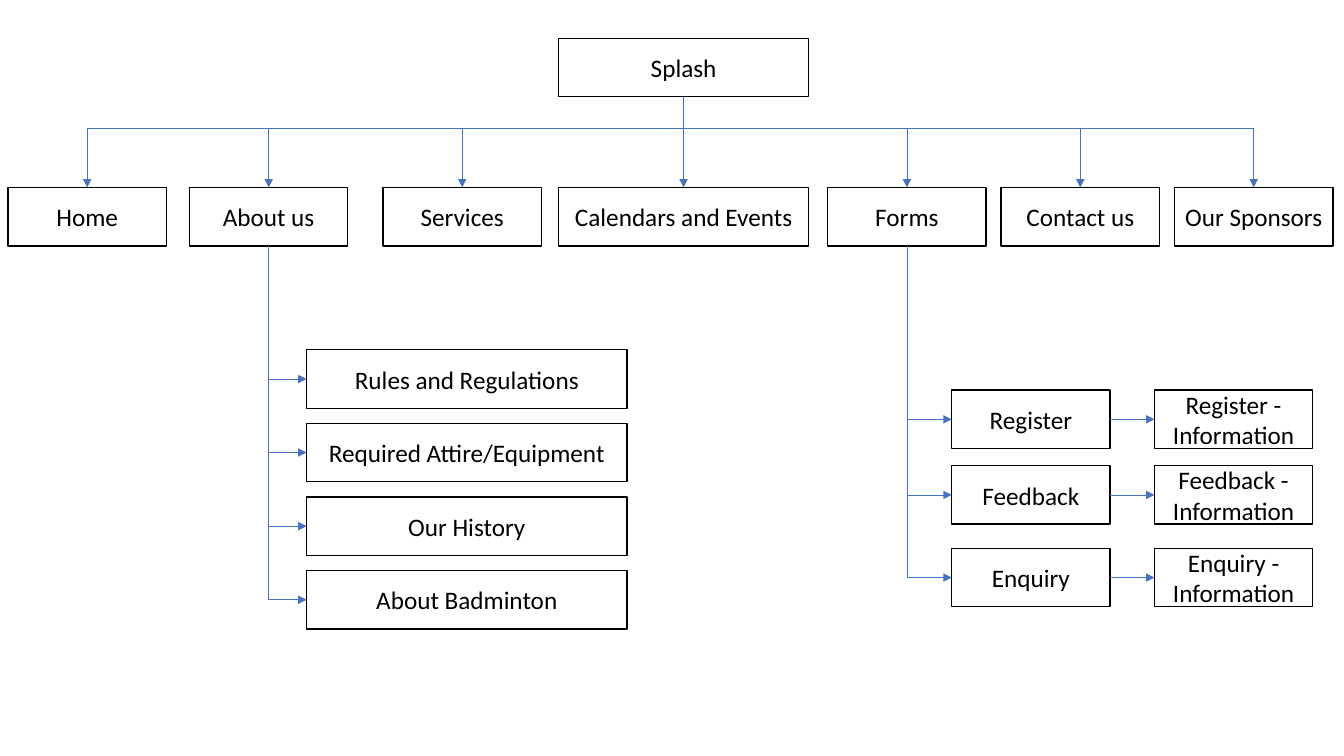
import dataclasses
import typing

import lxml.etree
import pptx
import pptx.dml.color
import pptx.enum.shapes
import pptx.enum.text
import pptx.oxml.ns
import pptx.util

Inches = pptx.util.Inches
Pt = pptx.util.Pt
RGB = pptx.dml.color.RGBColor
Kind = pptx.enum.shapes.MSO_CONNECTOR
qn = pptx.oxml.ns.qn


@dataclasses.dataclass(frozen=True)
class Theme:
    paper: RGB = RGB(0xFF, 0xFF, 0xFF)
    ink: RGB = RGB(0, 0, 0)
    link: RGB = RGB(0x44, 0x72, 0xC4)
    font: str = "Calibri"
    size: int = 18
    edge: float = 1
    wire: float = 0.5


@dataclasses.dataclass(frozen=True)
class Box:
    text: str
    left: float
    top: float
    width: float = 1.57
    height: float = 0.58

    @property
    def right(self) -> float:
        return self.left + self.width

    @property
    def base(self) -> float:
        return self.top + self.height

    @property
    def midx(self) -> float:
        return self.left + self.width / 2

    @property
    def midy(self) -> float:
        return self.top + self.height / 2


Point = tuple[float, float]
theme = Theme()
deck = pptx.Presentation()
deck.slide_width, deck.slide_height = Inches(13.33), Inches(7.5)
slide = deck.slides.add_slide(deck.slide_layouts[6])


def assign(item: typing.Any, values: dict[str, typing.Any]) -> None:
    for name, value in values.items():
        setattr(item, name, value)


def draw(box: Box) -> None:
    shape = slide.shapes.add_shape(
        pptx.enum.shapes.MSO_SHAPE.RECTANGLE,
        *map(Inches, (box.left, box.top, box.width, box.height)),
    )
    shape.shadow.inherit = False
    shape.fill.solid()
    shape.fill.fore_color.rgb = theme.paper
    shape.line.color.rgb = theme.ink
    shape.line.width = Pt(theme.edge)
    frame = shape.text_frame
    frame.text = box.text
    assign(frame, {
        "word_wrap": True,
        "vertical_anchor": pptx.enum.text.MSO_ANCHOR.MIDDLE,
        "margin_left": Inches(0.05),
        "margin_right": Inches(0.05),
    })
    line = frame.paragraphs[0]
    line.alignment = pptx.enum.text.PP_ALIGN.CENTER
    assign(line.runs[0].font, {"name": theme.font, "size": Pt(theme.size)})
    line.runs[0].font.color.rgb = theme.ink


def wire(start: Point, end: Point, kind: Kind = Kind.STRAIGHT, arrow: bool = True) -> typing.Any:
    link = slide.shapes.add_connector(kind, *map(Inches, (*start, *end)))
    link.line.color.rgb = theme.link
    link.line.width = Pt(theme.wire)
    props = link.element.spPr
    if arrow:
        lxml.etree.SubElement(props.find(qn("a:ln")), qn("a:tailEnd"), type="triangle")
    lxml.etree.SubElement(props, qn("a:effectLst"))
    return props


def elbow(start: Point, end: Point) -> None:
    midx, midy = (start[0] + end[0]) / 2, (start[1] + end[1]) / 2
    wide, high = (end[1] - start[1]) / 2, (end[0] - start[0]) / 2
    props = wire((midx - wide, midy - high), (midx + wide, midy + high), Kind.ELBOW)
    props.find(qn("a:prstGeom")).set("prst", "bentConnector2")
    frame = props.find(qn("a:xfrm"))
    frame.set("rot", "16200000")
    frame.set("flipH", "1")


def branch(parent: Box, items: list[Box]) -> None:
    start = parent.base
    for item in items:
        draw(item)
        elbow((parent.midx, start), (item.left, item.midy))
        start = item.midy


splash = Box("Splash", 5.54, 0.38, 2.48)
row = 1.86
home = Box("Home", 0.08, row)
about = Box("About us", 1.88, row)
forms = Box("Forms", 8.21, row)
last = Box("Our Sponsors", 11.65, row)
pages = [
    home,
    about,
    Box("Services", 3.8, row),
    Box("Calendars and Events", splash.left, row, splash.width),
    forms,
    Box("Contact us", 9.93, row),
    last,
]
bus = 1.27

draw(splash)
wire((splash.midx, splash.base), (splash.midx, bus), arrow=False)
wire((home.midx, bus), (last.midx, bus), arrow=False)
for page in pages:
    draw(page)
    wire((page.midx, bus), (page.midx, row))

topics = ["Rules and Regulations", "Required Attire/Equipment", "Our History", "About Badminton"]
branch(about, [Box(text, 3.04, 3.47 + 0.73 * i, 3.18) for i, text in enumerate(topics)])

entries = [Box(text, 9.44, top) for text, top in
           (("Register", 3.87), ("Feedback", 4.62), ("Enquiry", 5.44))]
branch(forms, entries)
for entry in entries:
    info = Box(f"{entry.text} - Information", 11.45, entry.top)
    draw(info)
    wire((entry.right, entry.midy), (info.left, info.midy))

deck.save("out.pptx")
